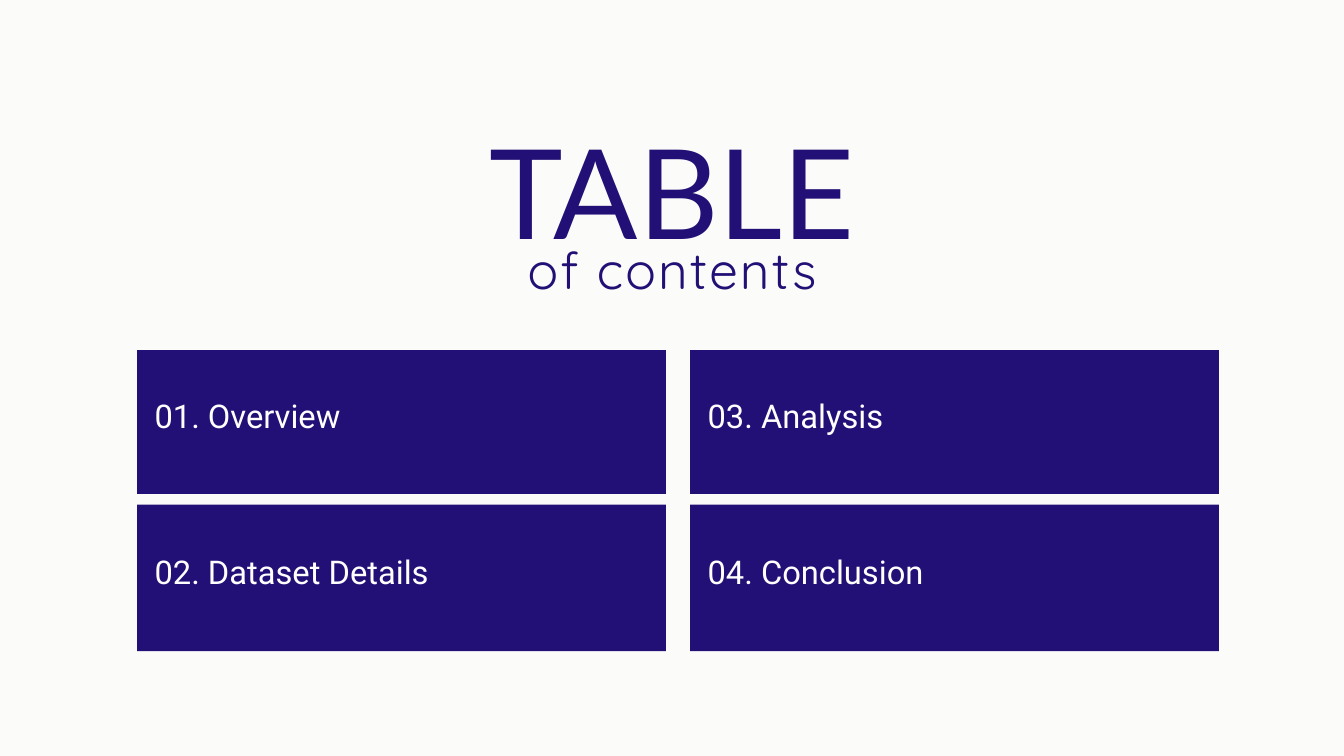
from dataclasses import dataclass

from pptx import Presentation
from pptx.dml.color import RGBColor
from pptx.enum.shapes import MSO_SHAPE
from pptx.enum.text import MSO_ANCHOR, MSO_AUTO_SIZE, PP_ALIGN
from pptx.util import Inches, Pt

RECTANGLE = MSO_SHAPE.RECTANGLE
TOP, MIDDLE = MSO_ANCHOR.TOP, MSO_ANCHOR.MIDDLE
CENTER, JUSTIFY = PP_ALIGN.CENTER, PP_ALIGN.JUSTIFY
GROW, FIXED = MSO_AUTO_SIZE.SHAPE_TO_FIT_TEXT, MSO_AUTO_SIZE.NONE


@dataclass(frozen=True)
class TextStyle:
    font: str
    size: float
    leading: float
    color: RGBColor
    align: PP_ALIGN = CENTER
    anchor: MSO_ANCHOR = TOP
    auto_size: MSO_AUTO_SIZE = GROW
    inset: float = 0
    tracking: float = 0


class Theme:
    paper = RGBColor.from_string("FBFBF9")
    navy = RGBColor.from_string("231076")
    white = RGBColor.from_string("FFFFFF")
    title = TextStyle("Lato", 133.6, 187.1, navy)
    subtitle = TextStyle("Quicksand", 55, 77, navy, tracking=2.4)
    entry = TextStyle("Roboto", 35, 49, white, JUSTIFY, MIDDLE, FIXED, 0.26)


CARD_WIDTH = 7.87
COLUMN_LEFTS = (2.04, 10.27)
ROWS = ((5.21, 2.14), (7.51, 2.18))
LABEL_RISE = 0.3
ENTRIES = (
    ("01. Overview", "02. Dataset Details"),
    ("03. Analysis", "04. Conclusion"),
)


def add_text(shapes, wording, left, top, width, height, style):
    box = shapes.add_textbox(Inches(left), Inches(top), Inches(width), Inches(height))
    frame = box.text_frame
    frame.word_wrap = True
    frame.auto_size = style.auto_size
    frame.vertical_anchor = style.anchor
    frame.margin_left = frame.margin_right = Inches(style.inset)
    frame.margin_top = frame.margin_bottom = Inches(style.inset)
    paragraph = frame.paragraphs[0]
    paragraph.alignment = style.align
    paragraph.line_spacing = Pt(style.leading)
    run = paragraph.add_run()
    run.text = wording
    if style.tracking:
        run._r.get_or_add_rPr().set("spc", str(round(style.tracking * 100)))
    paragraph.font.name = style.font
    paragraph.font.size = Pt(style.size)
    paragraph.font.color.rgb = style.color


def add_card(slide, entry, left, top, height):
    card = slide.shapes.add_group_shape()
    panel = card.shapes.add_shape(
        RECTANGLE, Inches(left), Inches(top), Inches(CARD_WIDTH), Inches(height)
    )
    panel.shadow.inherit = False
    panel.fill.solid()
    panel.fill.fore_color.rgb = Theme.navy
    panel.line.fill.background()
    add_text(card.shapes, entry, left, top - LABEL_RISE, CARD_WIDTH,
             height + LABEL_RISE, Theme.entry)


def main():
    deck = Presentation()
    deck.slide_width = Inches(20)
    deck.slide_height = Inches(11.25)
    slide = deck.slides.add_slide(deck.slide_layouts[6])
    slide.background.fill.solid()
    slide.background.fill.fore_color.rgb = Theme.paper

    add_text(slide.shapes, "TABLE", 3.84, 1.33, 12.32, 2.5, Theme.title)
    add_text(slide.shapes, "of contents", 6.25, 3.39, 7.51, 1.02, Theme.subtitle)
    for left, column in zip(COLUMN_LEFTS, ENTRIES):
        for (top, height), entry in zip(ROWS, column):
            add_card(slide, entry, left, top, height)

    deck.save("out.pptx")


if __name__ == "__main__":
    main()
